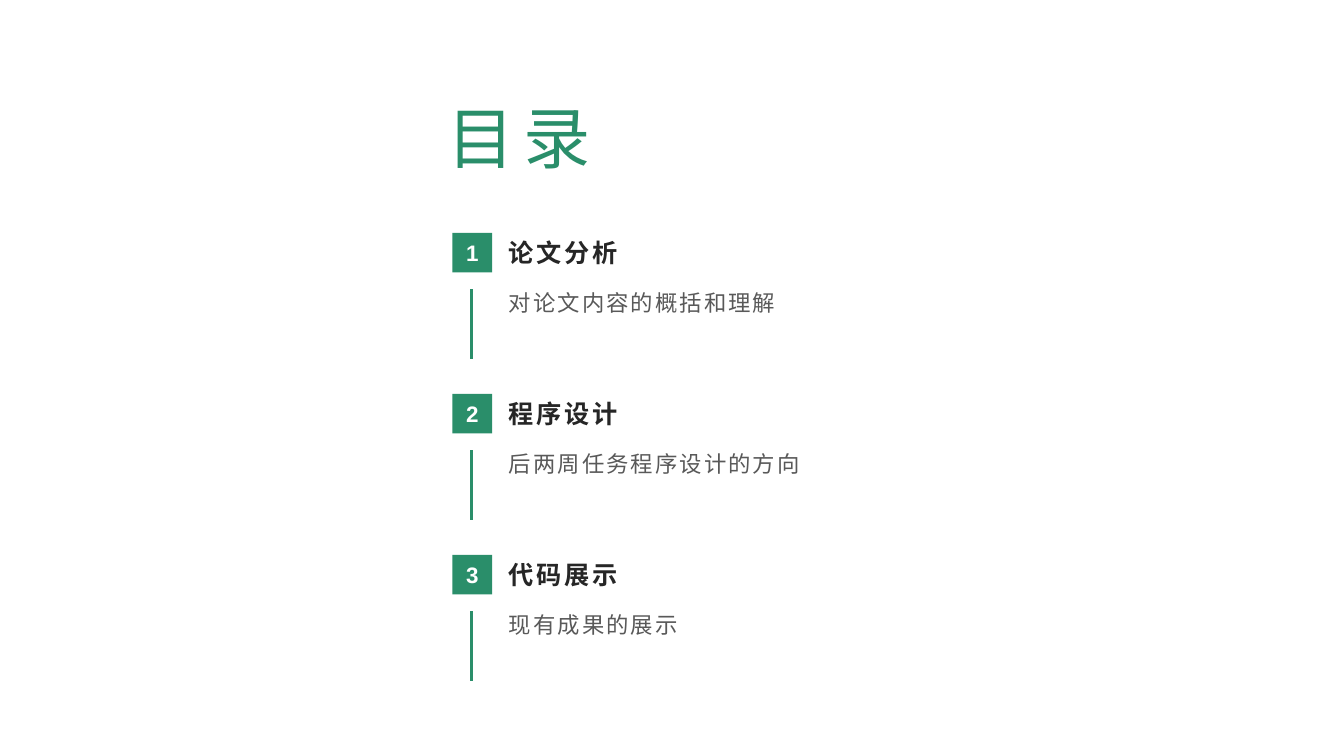
from dataclasses import dataclass

from lxml import etree
from pptx import Presentation
from pptx import util as u
from pptx.dml.color import RGBColor
from pptx.enum import shapes, text
from pptx.oxml.ns import qn

COLORS = {"green": "2A8E6A", "heading": "262626", "body": "595959", "white": "FFFFFF"}
FONT = "Arial"

# Contents list layout, in points
FIRST_TOP = 164.2
PITCH = 115
BADGE_LEFT, BADGE_SIZE = 323.2, 28.3
BAR_X = BADGE_LEFT + BADGE_SIZE / 2 - 0.4
TEXT_LEFT, TEXT_WIDTH = 356.4, 444


@dataclass
class Style:
    size: float
    color: str
    bold: bool = False
    tracking: float = 0
    line_spacing: float = 1.0
    align: text.PP_ALIGN = text.PP_ALIGN.LEFT
    anchor: text.MSO_ANCHOR = text.MSO_ANCHOR.MIDDLE


@dataclass
class Section:
    heading: str
    summary: str


TITLE = Style(48, "green", tracking=6, line_spacing=1.2)
NUMBER = Style(16, "white", bold=True, align=text.PP_ALIGN.CENTER)
HEADING = Style(18, "heading", bold=True, tracking=2)
SUMMARY = Style(16, "body", tracking=1.5, line_spacing=1.2, anchor=text.MSO_ANCHOR.TOP)

SECTIONS = [
    Section("论文分析", "对论文内容的概括和理解"),
    Section("程序设计", "后两周任务程序设计的方向"),
    Section("代码展示", "现有成果的展示"),
]


def rgb(name: str) -> RGBColor:
    return RGBColor.from_string(COLORS[name])


def write(box, words: str, style: Style) -> None:
    frame = box.text_frame
    frame.word_wrap = True
    frame.auto_size = text.MSO_AUTO_SIZE.NONE
    frame.vertical_anchor = style.anchor
    para = frame.paragraphs[0]
    para.text = words
    para.alignment = style.align
    para.line_spacing = style.line_spacing
    para.space_before = u.Pt(0)
    font = para.font
    font.name, font.size, font.bold = FONT, u.Pt(style.size), style.bold
    font.color.rgb = rgb(style.color)
    # Letter spacing and the East Asian font
    props = para._p.pPr.find(qn("a:defRPr"))
    props.set("spc", str(int(style.tracking * 100)))
    east_asian = etree.Element(qn("a:ea"), typeface=FONT)
    props.find(qn("a:latin")).addnext(east_asian)


def add_text(page, top: float, height: float, words: str, style: Style) -> None:
    box = page.shapes.add_textbox(
        u.Pt(TEXT_LEFT), u.Pt(top), u.Pt(TEXT_WIDTH), u.Pt(height))
    write(box, words, style)


def add_badge(page, top: float, number: int) -> None:
    badge = page.shapes.add_shape(
        shapes.MSO_SHAPE.RECTANGLE, u.Pt(BADGE_LEFT), u.Pt(top),
        u.Pt(BADGE_SIZE), u.Pt(BADGE_SIZE))
    badge.shadow.inherit = False
    badge.fill.solid()
    badge.fill.fore_color.rgb = rgb("green")
    badge.line.fill.background()
    frame = badge.text_frame
    frame.margin_left = frame.margin_right = u.Pt(3.6)
    write(badge, str(number), NUMBER)


def add_bar(page, top: float, height: float) -> None:
    bar = page.shapes.add_connector(
        shapes.MSO_CONNECTOR.STRAIGHT, u.Pt(BAR_X), u.Pt(top),
        u.Pt(BAR_X), u.Pt(top + height))
    bar.line.color.rgb = rgb("green")
    bar.line.width = u.Pt(2)
    etree.SubElement(bar._element.spPr, qn("a:effectLst"))


def add_section(page, number: int, section: Section) -> None:
    top = FIRST_TOP + (number - 1) * PITCH
    add_bar(page, top + 42.3, 50)
    add_badge(page, top + 2.2, number)
    add_text(page, top, 31.7, section.heading, HEADING)
    add_text(page, top + 34.7, 57.6, section.summary, SUMMARY)


def main() -> None:
    deck = Presentation()
    deck.slide_width, deck.slide_height = u.Pt(960), u.Pt(540)
    page = deck.slides.add_slide(deck.slide_layouts.get_by_name("Title Only"))

    # Title
    title = page.shapes.title
    title.left, title.top = u.Pt(319.7), u.Pt(53.3)
    title.width, title.height = u.Pt(333.4), u.Pt(77)
    title.text_frame.margin_left = u.Pt(0)
    write(title, "目录", TITLE)

    # Numbered sections
    for number, section in enumerate(SECTIONS, start=1):
        add_section(page, number, section)

    deck.save("out.pptx")


if __name__ == "__main__":
    main()
